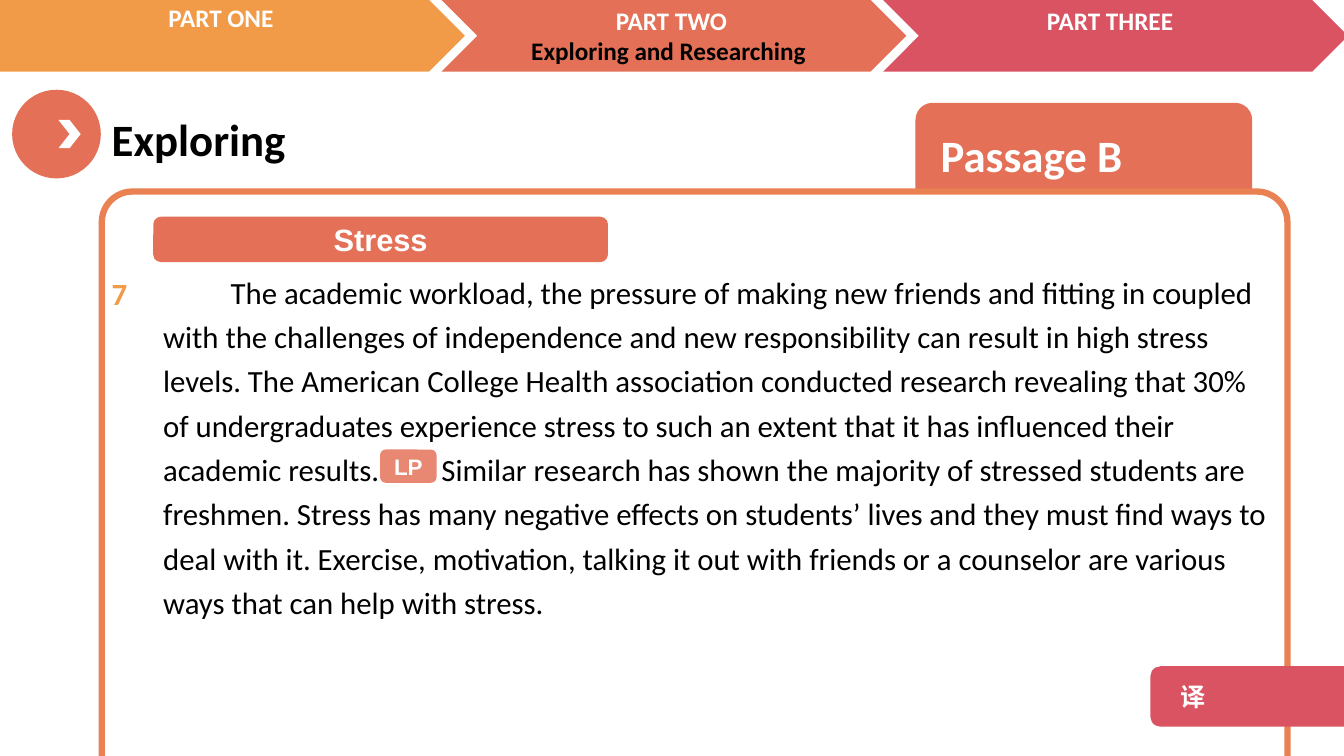
from dataclasses import dataclass

from lxml import etree
from pptx import Presentation
from pptx.dml.color import RGBColor
from pptx.enum.shapes import MSO_SHAPE
from pptx.enum.text import MSO_ANCHOR, PP_ALIGN
from pptx.oxml.ns import qn
from pptx.util import Inches, Pt

OVAL = MSO_SHAPE.OVAL
CHEVRON = MSO_SHAPE.CHEVRON
ROUND = MSO_SHAPE.ROUNDED_RECTANGLE
TOP, MIDDLE = MSO_ANCHOR.TOP, MSO_ANCHOR.MIDDLE
LEFT, CENTER = PP_ALIGN.LEFT, PP_ALIGN.CENTER

CORAL, ROSE, AMBER = "E47057", "DA5362", "F19B48"
WHITE, BLACK, ORANGE = "FFFFFF", "000000", "EA8152"
CJK = "Noto Sans CJK SC"

Box = tuple[float, float, float, float]

CAUSE = (
    "The academic workload, the pressure of making new friends and fitting in "
    "coupled with the challenges of independence and new responsibility can "
    "result in high stress levels. The American College Health association "
    "conducted research revealing that 30% of undergraduates experience stress "
    "to such an extent that it has influenced their academic results."
)
RELIEF = (
    "Similar research has shown the majority of stressed students are "
    "freshmen. Stress has many negative effects on students’ lives and they "
    "must find ways to deal with it. Exercise, motivation, talking it out with "
    "friends or a counselor are various ways that can help with stress."
)


@dataclass
class Line:
    text: str
    size: float = 18
    color: str = WHITE
    bold: bool = True
    font: str = "Calibri"
    align: PP_ALIGN = LEFT
    space: float = 1.0
    indent: float = 0


@dataclass
class Label:
    box: Box
    lines: list[Line]


@dataclass
class Form:
    kind: MSO_SHAPE
    box: Box
    fill: str
    line: Line | None = None
    inset: float = 0.1
    alpha: int = 100
    edge: str = ""
    curve: float | None = None


def paint(color: str) -> RGBColor:
    return RGBColor.from_string(color)


def place(box: Box) -> list[int]:
    return [Inches(n) for n in box]


def write(frame, lines: list[Line], anchor: MSO_ANCHOR) -> None:
    frame.word_wrap = True
    frame.vertical_anchor = anchor
    for i, line in enumerate(lines):
        para = frame.paragraphs[0] if i == 0 else frame.add_paragraph()
        para.alignment = line.align
        para.line_spacing = line.space
        if line.indent:
            props = para._p.get_or_add_pPr()
            props.set("indent", str(Inches(line.indent)))
        run = para.add_run()
        run.text = line.text
        style = {"size": Pt(line.size), "bold": line.bold, "name": line.font}
        for key, value in style.items():
            setattr(run.font, key, value)
        run.font.color.rgb = paint(line.color)
        etree.SubElement(
            run._r.get_or_add_rPr(), qn("a:ea"), typeface=line.font
        )


def draw(slide, item: Form | Label) -> None:
    if isinstance(item, Label):
        label = slide.shapes.add_textbox(*place(item.box))
        write(label.text_frame, item.lines, TOP)
        return
    shape = slide.shapes.add_shape(item.kind, *place(item.box))
    shape.shadow.inherit = False
    shape.fill.solid()
    shape.fill.fore_color.rgb = paint(item.fill)
    if item.alpha < 100:
        tone = shape._element.spPr.find(".//" + qn("a:srgbClr"))
        etree.SubElement(tone, qn("a:alpha"), val=str(item.alpha * 1000))
    if item.edge:
        shape.line.color.rgb = paint(item.edge)
        shape.line.width = Pt(4.5)
    else:
        shape.line.fill.background()
    if item.curve is not None:
        shape.adjustments[0] = item.curve
    if item.line:
        shape.text_frame.margin_left = Inches(item.inset)
        write(shape.text_frame, [item.line], MIDDLE)


def head(text: str, color: str = WHITE) -> Line:
    return Line(text, color=color, align=CENTER)


def tag(text: str, size: float) -> Line:
    return Line(text, size, font="Arial", align=CENTER)


def prose(text: str, indent: float) -> Line:
    return Line(text, 22, BLACK, False, space=1.2, indent=indent)


ITEMS = [
    Form(OVAL, (0.12, 0.89, 0.88, 0.88), CORAL),
    Form(CHEVRON, (0.58, 1.19, 0.22, 0.28), WHITE),
    Label((1.01, 1.06, 4.85, 0.64), [Line("Exploring", 32, BLACK)]),
    Form(ROUND, (9.08, 1.02, 3.34, 1.02), CORAL, Line("Passage B", 32), 0.2),
    Form(CHEVRON, (4.38, 0, 4.61, 0.71), CORAL),
    Form(CHEVRON, (8.76, 0, 4.61, 0.71), ROSE),
    Form(CHEVRON, (-0.61, 0, 5.22, 0.71), AMBER),
    Label((-0.06, -0.03, 4.56, 0.4), [head("PART ONE ")]),
    Label(
        (4.38, 0, 4.56, 0.71),
        [head("PART TWO"), head("Exploring and Researching ", BLACK)],
    ),
    Label((8.73, 0, 4.56, 0.4), [head("PART THREE")]),
    Form(ROUND, (1.01, 1.9, 11.76, 6.45), WHITE, edge=ORANGE, curve=0.047),
    Label((1.52, 2.59, 11.25, 2.3), [prose(CAUSE, 0.67)]),
    Label((1.52, 4.35, 11.25, 1.86), [prose(RELIEF, 2.76)]),
    Label((1.01, 2.6, 0.51, 4.54), [Line("7", 22, AMBER, space=1.2)]),
    Form(ROUND, (11.41, 6.61, 2.13, 0.6), ROSE, Line("译", font=CJK), 0.27),
    Form(ROUND, (1.52, 2.15, 4.51, 0.45), CORAL, tag("Stress", 22)),
    Form(ROUND, (3.77, 4.46, 0.56, 0.33), CORAL, tag("LP", 16), alpha=83),
]


def main() -> None:
    deck = Presentation()
    deck.slide_width, deck.slide_height = Inches(13.33), Inches(7.5)
    slide = deck.slides.add_slide(deck.slide_layouts[6])
    for item in ITEMS:
        draw(slide, item)
    deck.save("out.pptx")


if __name__ == "__main__":
    main()
